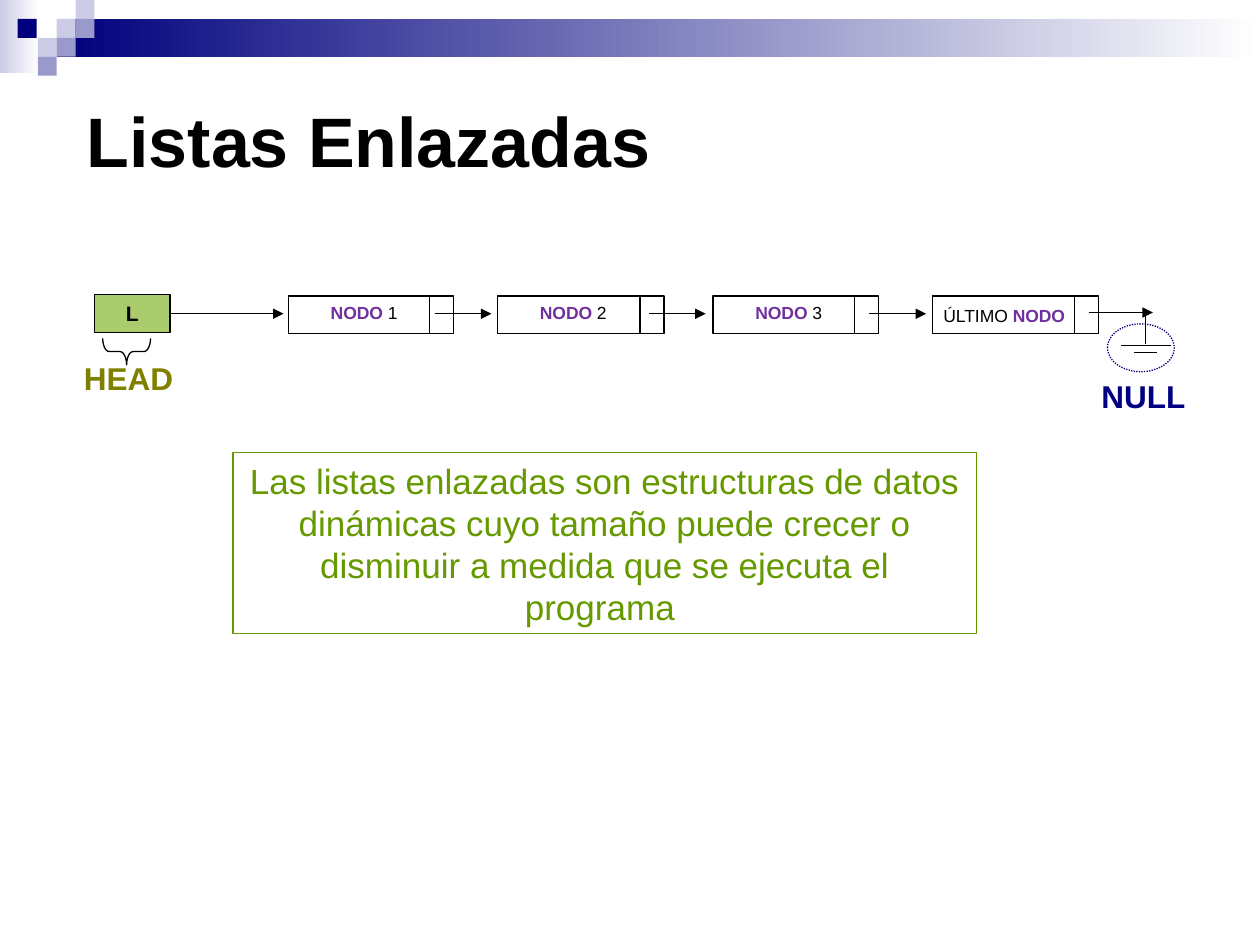
from lxml import etree
from pptx import Presentation
from pptx import util as u
from pptx.dml.color import RGBColor
from pptx.enum import dml, shapes, text
from pptx.oxml.ns import qn

COLORS = {
    "navy": "00007D", "lavender": "CCCCE6", "violet": "9999CC", "white": "FFFFFF",
    "black": "000000", "green": "669900", "lime": "AACC6C", "purple": "7030A0",
    "olive": "808000", "blue": "000080",
}
KINDS = shapes.MSO_SHAPE

deck = Presentation()
deck.slide_width = u.Inches(10)
deck.slide_height = u.Inches(7.5)
page = deck.slides.add_slide(deck.slide_layouts[6])


def add_box(kind, place, fill=None, line=None):
    box = page.shapes.add_shape(kind, *[u.Inches(n) for n in place])
    box.shadow.inherit = False
    if fill:
        box.fill.solid()
        box.fill.fore_color.rgb = RGBColor.from_string(COLORS[fill])
    else:
        box.fill.background()
    if line:
        box.line.color.rgb = RGBColor.from_string(COLORS[line])
        box.line.width = u.Pt(0.75)
    else:
        box.line.fill.background()
    return box


def write(box, spans, size, align=text.PP_ALIGN.CENTER, anchor=text.MSO_ANCHOR.TOP):
    frame = box.text_frame
    frame.word_wrap = True
    frame.vertical_anchor = anchor
    para = frame.paragraphs[0]
    para.alignment = align
    for words, color, bold in spans:
        span = para.add_run()
        span.text = words
        span.font.name = "Arial"
        span.font.size = u.Pt(size)
        span.font.bold = bold
        span.font.color.rgb = RGBColor.from_string(COLORS[color])


for place, start in [((0, 0, 0.31, 0.58), "lavender"), ((0.45, 0.15, 9.55, 0.3), "navy")]:
    band = add_box(KINDS.RECTANGLE, place, start)
    band.fill.gradient()
    band.fill.gradient_angle = 0
    for stop, color in zip(band.fill.gradient_stops, (start, "white")):
        stop.color.rgb = RGBColor.from_string(COLORS[color])

tile = 0.15
for left, top, color in [
    (0.45, 0.15, "lavender"), (0.6, 0, "lavender"), (0.6, 0.15, "violet"),
    (0.3, 0.3, "lavender"), (0.14, 0.15, "navy"), (0.45, 0.3, "violet"),
    (0.3, 0.45, "violet"),
]:
    add_box(KINDS.RECTANGLE, (left, top, tile, tile), color)

title = page.shapes.add_textbox(u.Inches(0.59), u.Inches(0.36), u.Inches(9), u.Inches(1.5))
write(title, [("Listas Enlazadas", "black", True)], 40,
      text.PP_ALIGN.LEFT, text.MSO_ANCHOR.MIDDLE)

definition = add_box(KINDS.RECTANGLE, (1.85, 3.59, 5.9, 1.44), line="green")
write(definition, [("Las listas enlazadas son estructuras de datos dinámicas cuyo tamaño "
                    "puede crecer o disminuir a medida que se ejecuta el programa ",
                    "green", False)], 20, anchor=text.MSO_ANCHOR.MIDDLE)

nodes = [
    (2.29, 3.41, [("NODO", "purple", True), (" 1", "black", False)]),
    (3.95, 5.08, [("NODO", "purple", True), (" 2", "black", False)]),
    (5.66, 6.78, [("NODO", "purple", True), (" 3", "black", False)]),
    (7.4, 8.53, []),
]
for left, pointer_left, spans in nodes:
    node = add_box(KINDS.RECTANGLE, (left, 2.35, 1.2, 0.3), "white", "black")
    write(node, spans, 10)
    add_box(KINDS.RECTANGLE, (pointer_left, 2.35, 0.19, 0.3), "white", "black")

head = add_box(KINDS.RECTANGLE, (0.75, 2.34, 0.6, 0.3), "lime", "black")
write(head, [("L", "black", True)], 12)

brace = add_box(KINDS.LEFT_BRACE, (0.9, 2.6, 0.21, 0.38), line="black")
brace.rotation = 270
brace.adjustments[0] = 0.25
brace.adjustments[1] = 0.5

null_ring = add_box(KINDS.OVAL, (8.79, 2.57, 0.53, 0.38), line="blue")
null_ring.line.dash_style = dml.MSO_LINE.ROUND_DOT

for place, spans, size in [
    ((7.28, 2.37, 1.38, 0.38), [("ÚLTIMO ", "black", False), ("NODO", "purple", True)], 10),
    ((0.43, 2.8, 1.18, 0.38), [("HEAD", "olive", True)], 18),
    ((8.54, 2.94, 1.07, 0.38), [("NULL", "blue", True)], 18),
]:
    label = page.shapes.add_textbox(*[u.Inches(n) for n in place])
    write(label, spans, size)

for x1, y1, x2, y2, arrow, source in [
    (1.35, 2.49, 2.25, 2.49, True, head),
    (3.45, 2.49, 3.9, 2.49, True, None),
    (5.15, 2.49, 5.6, 2.49, True, None),
    (6.9, 2.49, 7.35, 2.49, True, None),
    (8.64, 2.48, 9.09, 2.48, False, None),
    (9.09, 2.48, 9.09, 2.73, False, None),
    (8.9, 2.74, 9.29, 2.74, False, None),
    (9, 2.8, 9.18, 2.8, False, None),
    (8.67, 2.48, 9.15, 2.48, True, None),
]:
    link = page.shapes.add_connector(
        shapes.MSO_CONNECTOR.STRAIGHT, *[u.Inches(n) for n in (x1, y1, x2, y2)])
    link.line.color.rgb = RGBColor.from_string(COLORS["black"])
    link.line.width = u.Pt(0.75)
    if source:
        link.begin_connect(source, 3)
    if arrow:
        etree.SubElement(link.line._get_or_add_ln(), qn("a:tailEnd"), type="triangle")
    etree.SubElement(link._element.spPr, qn("a:effectLst"))

deck.save("out.pptx")
